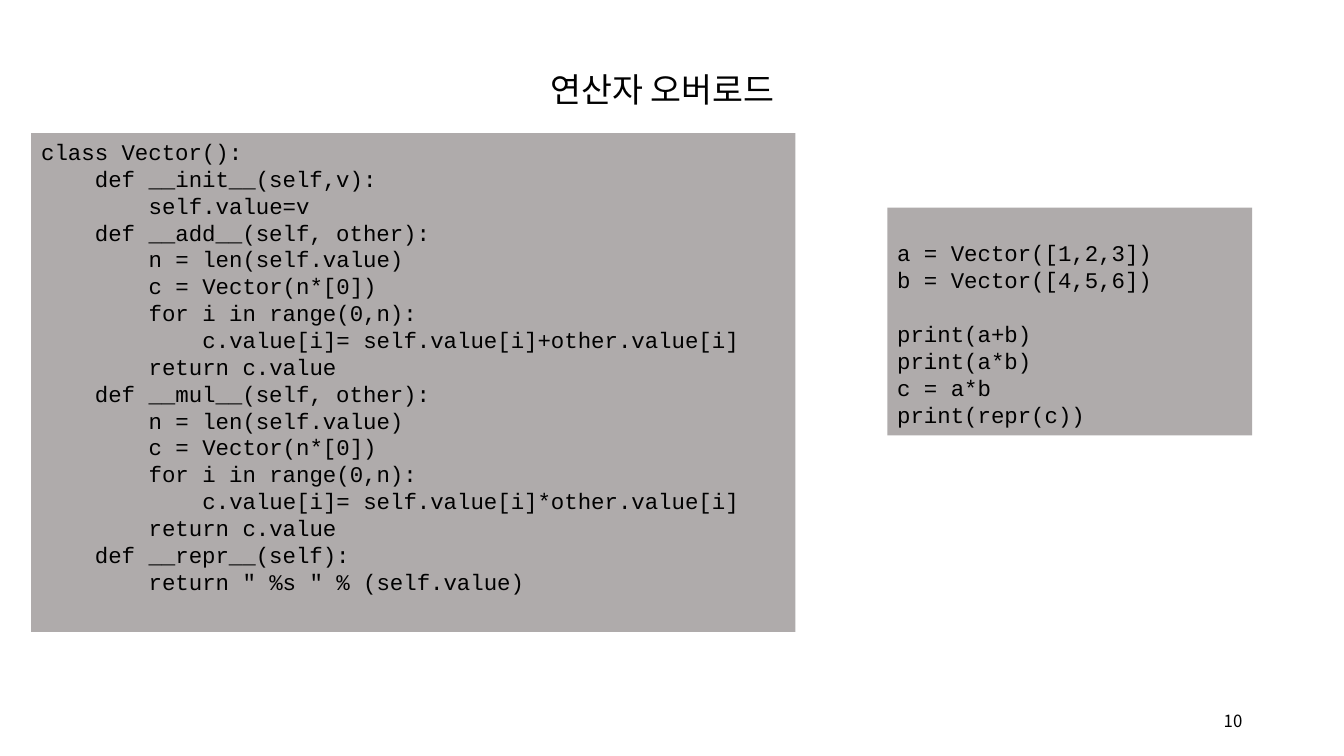
from pptx import Presentation
from pptx.dml.color import RGBColor as RGB
from pptx.enum.shapes import MSO_SHAPE as Shape
from pptx.enum.text import MSO_ANCHOR as Anchor, PP_ALIGN as Align
from pptx.util import Inches, Pt

SIZE = 16
LINE = 19.2  # points from one code line to the next
CHAR = 0.6 * SIZE  # points per monospaced letter
PAD = 3.6  # points above and below the code

CLASS = """class Vector():
    def __init__(self,v):
        self.value=v
    def __add__(self, other):
        n = len(self.value)
        c = Vector(n*[0])
        for i in range(0,n):
            c.value[i]= self.value[i]+other.value[i]
        return c.value
    def __mul__(self, other):
        n = len(self.value)
        c = Vector(n*[0])
        for i in range(0,n):
            c.value[i]= self.value[i]*other.value[i]
        return c.value
    def __repr__(self):
        return " %s " % (self.value)"""

USAGE = """a = Vector([1,2,3])
b = Vector([4,5,6])

print(a+b)
print(a*b)
c = a*b
print(repr(c))"""


def color(code):
    return RGB.from_string(code)


def style(para, font, size):
    para.font.name = font
    para.font.size = Pt(size)
    para.font.color.rgb = color("000000")


def label(slide, box, text, font, size):
    frame = slide.shapes.add_textbox(*map(Inches, box)).text_frame
    para = frame.paragraphs[0]
    para.text = text
    style(para, font, size)
    return frame, para


def title(slide, box, text):
    frame, para = label(slide, box, text, "Arial", 24)
    frame.word_wrap = False
    para.line_spacing = 1.5


def number(slide, box, text):
    frame, para = label(slide, box, text, "Noto Sans CJK KR", 12)
    frame.word_wrap = True
    frame.vertical_anchor = Anchor.MIDDLE
    para.alignment = Align.RIGHT


def code(slide, box, text, skip=0):
    """Draw a code panel whose text starts skip lines down."""
    panel = slide.shapes.add_shape(Shape.RECTANGLE, *map(Inches, box))
    panel.shadow.inherit = False
    panel.fill.solid()
    panel.fill.fore_color.rgb = color("AFABAB")
    panel.line.fill.background()
    frame = panel.text_frame
    frame.word_wrap = True
    frame.vertical_anchor = Anchor.TOP
    frame.margin_top = Pt(PAD + skip * LINE)
    frame.margin_bottom = Pt(PAD)

    para, gap = frame.paragraphs[0], 0
    for row, line in enumerate(text.split("\n")):
        if not line:  # a blank line becomes space before the next one
            gap += LINE
            continue
        if row:
            para = frame.add_paragraph()
        para.text = line.lstrip()
        para.alignment = Align.LEFT
        para.line_spacing = Pt(LINE)
        para.space_before = Pt(gap)
        depth = len(line) - len(line.lstrip())
        para._p.get_or_add_pPr().set("marL", str(Pt(depth * CHAR)))
        style(para, "Courier New", SIZE)
        gap = 0


def main():
    deck = Presentation()
    deck.slide_width, deck.slide_height = Inches(13.33), Inches(7.5)
    slide = deck.slides.add_slide(deck.slide_layouts[6])

    # Page number
    number(slide, (11.87, 6.95, 0.55, 0.4), "10")
    # Class definition and its use
    code(slide, (0.31, 1.32, 7.58, 4.95), CLASS)
    code(slide, (8.8, 2.06, 3.62, 2.26), USAGE, skip=1)
    # Heading
    title(slide, (5.36, 0.43, 2.65, 0.71), "연산자 오버로드")

    deck.save("out.pptx")


if __name__ == "__main__":
    main()
